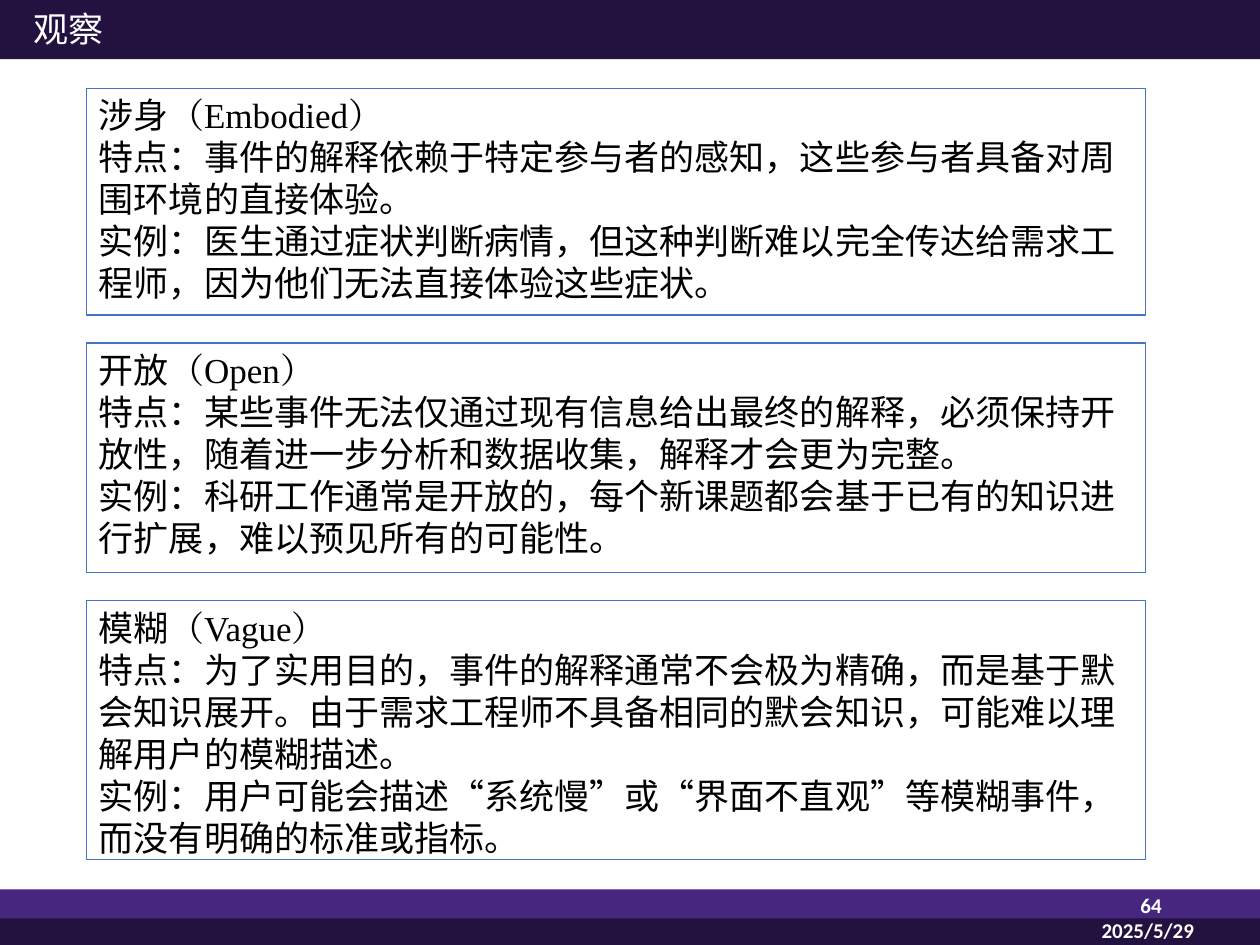
from pptx import Presentation
from pptx.dml.color import RGBColor
from pptx.enum.shapes import MSO_SHAPE
from pptx.enum.text import MSO_ANCHOR, PP_ALIGN
from pptx.oxml.ns import qn
from pptx.util import Pt

theme = {
    "dark": RGBColor.from_string("231240"),
    "violet": RGBColor.from_string("472680"),
    "edge": RGBColor.from_string("4472C4"),
    "ink": RGBColor.from_string("000000"),
    "white": RGBColor.from_string("FFFFFF"),
    "body": Pt(20),
    "small": Pt(12),
    "pitch": Pt(24),
    "han": "Noto Sans CJK SC",
    "serif": "Times New Roman",
    "sans": "Calibri",
}


def put_run(para, text, face, size, color, bold=False):
    """Add a run whose Latin and East Asian fonts are both face."""
    run = para.add_run()
    run.text = text
    style = {"name": face, "size": size, "bold": bold}
    for key, value in style.items():
        setattr(run.font, key, value)
    run.font.color.rgb = color
    props = run._r.get_or_add_rPr()
    east = props.makeelement(qn("a:ea"), {"typeface": face})
    props.find(qn("a:latin")).addnext(east)


def set_frame(frame, wrap=True):
    """Anchor the text at the top with even margins."""
    style = {
        "word_wrap": wrap,
        "vertical_anchor": MSO_ANCHOR.TOP,
        "margin_left": Pt(7),
        "margin_right": Pt(7),
        "margin_top": Pt(3.2),
        "margin_bottom": Pt(3.2),
    }
    for key, value in style.items():
        setattr(frame, key, value)


deck = Presentation()
deck.slide_width, deck.slide_height = Pt(720), Pt(540)
slide = deck.slides.add_slide(deck.slide_layouts[5])
shapes = slide.shapes

# Header and footer bands
bands = [(508.2, 17, "violet"), (524.8, 15.2, "dark"), (0, 33.8, "dark")]
for top, height, tint in bands:
    band = shapes.add_shape(MSO_SHAPE.RECTANGLE, 0, Pt(top), Pt(720), Pt(height))
    band.shadow.inherit = False
    band.fill.solid()
    band.fill.fore_color.rgb = theme[tint]
    band.line.fill.background()

# Page number and date
marks = [
    ("64", 624, 506.9, 46.8, 43.2, PP_ALIGN.RIGHT),
    ("2025/5/29", 614.9, 521.3, 82.1, 28.8, PP_ALIGN.CENTER),
]
for text, left, top, width, height, align in marks:
    box = shapes.add_textbox(Pt(left), Pt(top), Pt(width), Pt(height))
    set_frame(box.text_frame)
    para = box.text_frame.paragraphs[0]
    para.alignment = align
    put_run(para, text, theme["sans"], theme["small"], theme["white"], True)

# Title, brought in front of the header band
title = shapes.title
shapes._spTree.append(title._element)
place = {"left": 12.2, "top": 1.2, "width": 54.7, "height": 31.7}
for key, value in place.items():
    setattr(title, key, Pt(value))
set_frame(title.text_frame, False)
para = title.text_frame.paragraphs[0]
para.alignment = PP_ALIGN.LEFT
para.line_spacing = theme["pitch"]
put_run(para, "观察", theme["han"], theme["body"], theme["white"])

# One framed card for each property
cards = [
    (50.4, 129.6, "涉身", "（Embodied）",
     "特点：事件的解释依赖于特定参与者的感知，这些参与者具备对周围环境的直接体验。",
     "实例：医生通过症状判断病情，但这种判断难以完全传达给需求工程师，因为他们无法直接体验这些症状。"),
    (196, 131, "开放", "（Open）",
     "特点：某些事件无法仅通过现有信息给出最终的解释，必须保持开放性，随着进一步分析和数据收集，解释才会更为完整。",
     "实例：科研工作通常是开放的，每个新课题都会基于已有的知识进行扩展，难以预见所有的可能性。"),
    (343.2, 148, "模糊", "（Vague）",
     "特点：为了实用目的，事件的解释通常不会极为精确，而是基于默会知识展开。由于需求工程师不具备相同的默会知识，可能难以理解用户的模糊描述。",
     "实例：用户可能会描述“系统慢”或“界面不直观”等模糊事件，而没有明确的标准或指标。"),
]
for top, height, name, term, trait, case in cards:
    card = shapes.add_shape(
        MSO_SHAPE.RECTANGLE, Pt(49.5), Pt(top), Pt(605), Pt(height))
    card.shadow.inherit = False
    card.fill.background()
    card.line.color.rgb = theme["edge"]
    card.line.width = Pt(0.75)
    frame = card.text_frame
    set_frame(frame)
    lines = [
        [(name, "han"), (term, "serif")],
        [(trait, "han")],
        [(case, "han")],
    ]
    for i, parts in enumerate(lines):
        para = frame.add_paragraph() if i else frame.paragraphs[0]
        para.alignment = PP_ALIGN.LEFT
        para.line_spacing = theme["pitch"]
        for text, face in parts:
            put_run(para, text, theme[face], theme["body"], theme["ink"])

deck.save("out.pptx")
